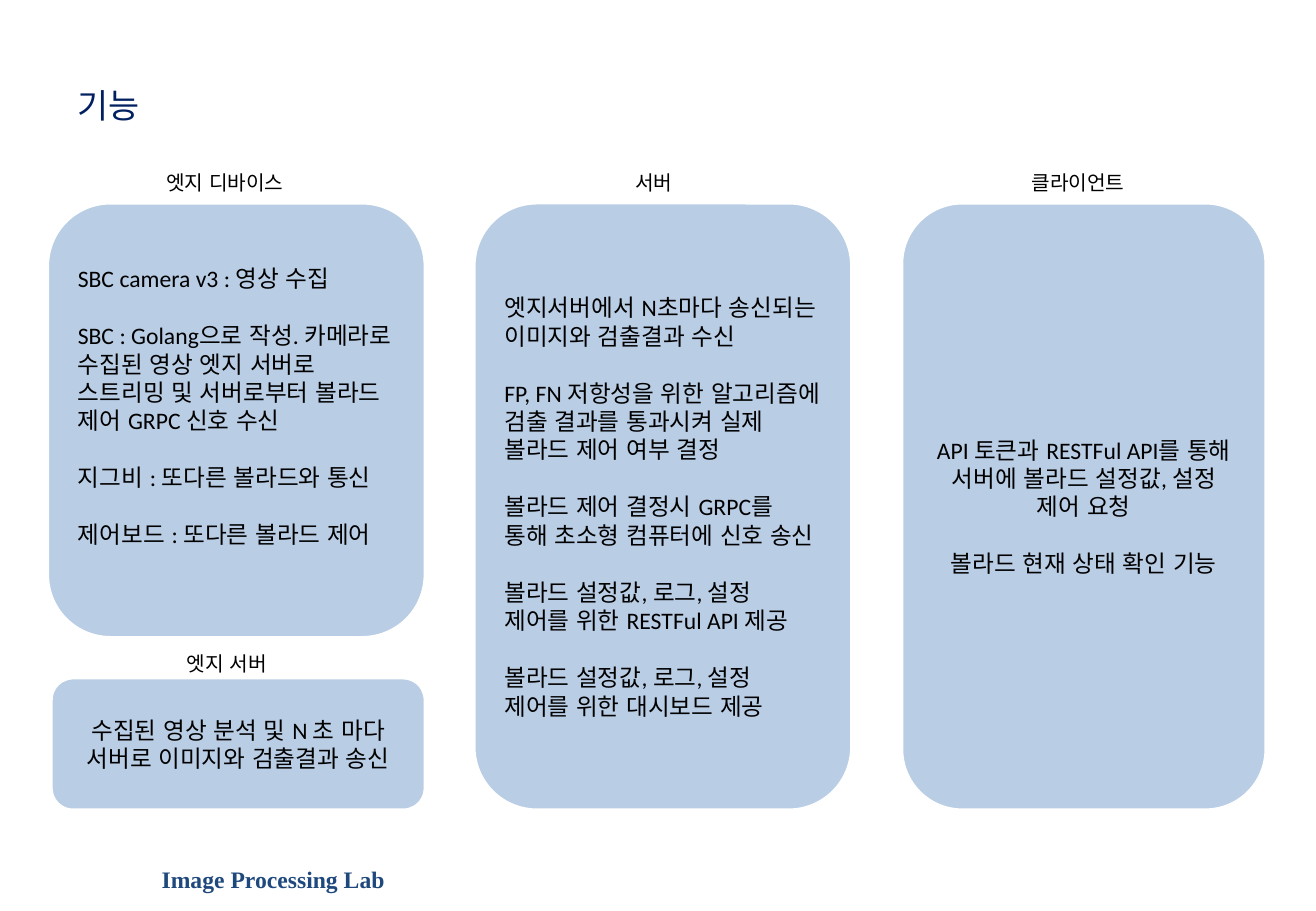
from pptx import Presentation
from pptx.dml.color import RGBColor
from pptx.enum.lang import MSO_LANGUAGE_ID as Language
from pptx.enum.shapes import MSO_SHAPE as Shape
from pptx.enum.text import MSO_ANCHOR as Anchor, PP_ALIGN as Align
from pptx.util import Inches, Pt

TITLE = "기능"
FOOTER = "Image Processing Lab"

EDGE_DEVICE = [
    "SBC camera v3 : 영상 수집",
    "SBC : Golang으로 작성. 카메라로 수집된 영상 엣지 서버로 스트리밍 및 "
    "서버로부터 볼라드 제어 GRPC 신호 수신",
    "지그비 : 또다른 볼라드와 통신",
    "제어보드 : 또다른 볼라드 제어",
]
EDGE_SERVER = ["수집된 영상 분석 및 N 초 마다 서버로 이미지와 검출결과 송신"]
SERVER = [
    "엣지서버에서 N초마다 송신되는 이미지와 검출결과 수신",
    "FP, FN 저항성을 위한 알고리즘에 검출 결과를 통과시켜 실제 볼라드 제어 여부 결정",
    "볼라드 제어 결정시 GRPC를 통해 초소형 컴퓨터에 신호 송신",
    "볼라드 설정값, 로그, 설정 제어를 위한 RESTFul API 제공",
    "볼라드 설정값, 로그, 설정 제어를 위한 대시보드 제공",
]
CLIENT = [
    "API 토큰과 RESTFul API를 통해 서버에 볼라드 설정값, 설정 제어 요청",
    "볼라드 현재 상태 확인 기능",
]

CARD_TOP, CARD_BOTTOM = 1.67, 6.67
LINE_GAP = 17  # points, one line of card text
# label, label (left, top, width), card (left, top, width, height), texts, align, bottom inset
CARDS = [
    ("엣지 디바이스", (1.27, 1.35, 1.25), (0.39, CARD_TOP, 3.11, 3.58),
     EDGE_DEVICE, Align.LEFT, 0.28),
    ("엣지 서버", (1.44, 5.31, 0.91), (0.42, 5.58, 3.08, CARD_BOTTOM - 5.58),
     EDGE_SERVER, Align.CENTER, 0.05),
    ("서버", (5.13, 1.35, 0.54), (3.9, CARD_TOP, 3.11, CARD_BOTTOM - CARD_TOP),
     SERVER, Align.LEFT, 0.05),
    ("클라이언트", (8.39, 1.35, 1.04), (7.42, CARD_TOP, 3, CARD_BOTTOM - CARD_TOP),
     CLIENT, Align.CENTER, 0.05),
]


def color(hex_value):
    return RGBColor.from_string(hex_value)


def write(shape, texts, *, size, font="Calibri", fill="000000", bold=False,
          align=Align.LEFT, anchor=Anchor.TOP, wrap=True, gap=0,
          insets=(0.1, 0.05, 0.1, 0.05)):
    """Fill a shape with paragraphs; insets are left, top, right, bottom."""
    frame = shape.text_frame
    frame.word_wrap = wrap
    frame.vertical_anchor = anchor
    (frame.margin_left, frame.margin_top,
     frame.margin_right, frame.margin_bottom) = map(Inches, insets)
    for index, text in enumerate(texts):
        paragraph = frame.paragraphs[0] if index == 0 else frame.add_paragraph()
        paragraph.alignment = align
        if index:
            paragraph.space_before = Pt(gap)
        run = paragraph.add_run()
        run.text = text
        run.font.name = font
        run.font.size = Pt(size)
        run.font.bold = bold
        run.font.color.rgb = color(fill)
        run.font.language_id = Language.KOREAN


def add_text(slide, box, text, **style):
    write(slide.shapes.add_textbox(*map(Inches, box)), [text], **style)


def add_card(slide, box, texts, align, bottom_inset):
    card = slide.shapes.add_shape(Shape.ROUNDED_RECTANGLE, *map(Inches, box))
    card.shadow.inherit = False
    card.fill.solid()
    card.fill.fore_color.rgb = color("B9CDE5")
    card.line.color.rgb = color("FFFFFF")
    card.line.width = Pt(2)
    write(card, texts, size=14, align=align, anchor=Anchor.MIDDLE, gap=LINE_GAP,
          insets=(0.1, 0.05, 0.1, bottom_inset))


def main():
    presentation = Presentation()
    presentation.slide_width = Inches(10.83)
    presentation.slide_height = Inches(7.5)
    slide = presentation.slides.add_slide(presentation.slide_layouts[6])

    add_text(slide, (0.63, 0.67, 8.54, 0.35), TITLE, size=20,
             font="Noto Sans CJK KR", fill="002060", insets=(0.01, 0.03, 0, 0))
    for label, (left, top, width), box, texts, align, bottom_inset in CARDS:
        add_card(slide, box, texts, align, bottom_inset)
        add_text(slide, (left, top, width, 0.3), label, size=12, wrap=False)
    add_text(slide, (1.32, 7.09, 1.87, 0.26), FOOTER, size=14, bold=True,
             font="Times New Roman", fill="1F497D", insets=(0.01, 0.03, 0, 0))

    presentation.save("out.pptx")


if __name__ == "__main__":
    main()
